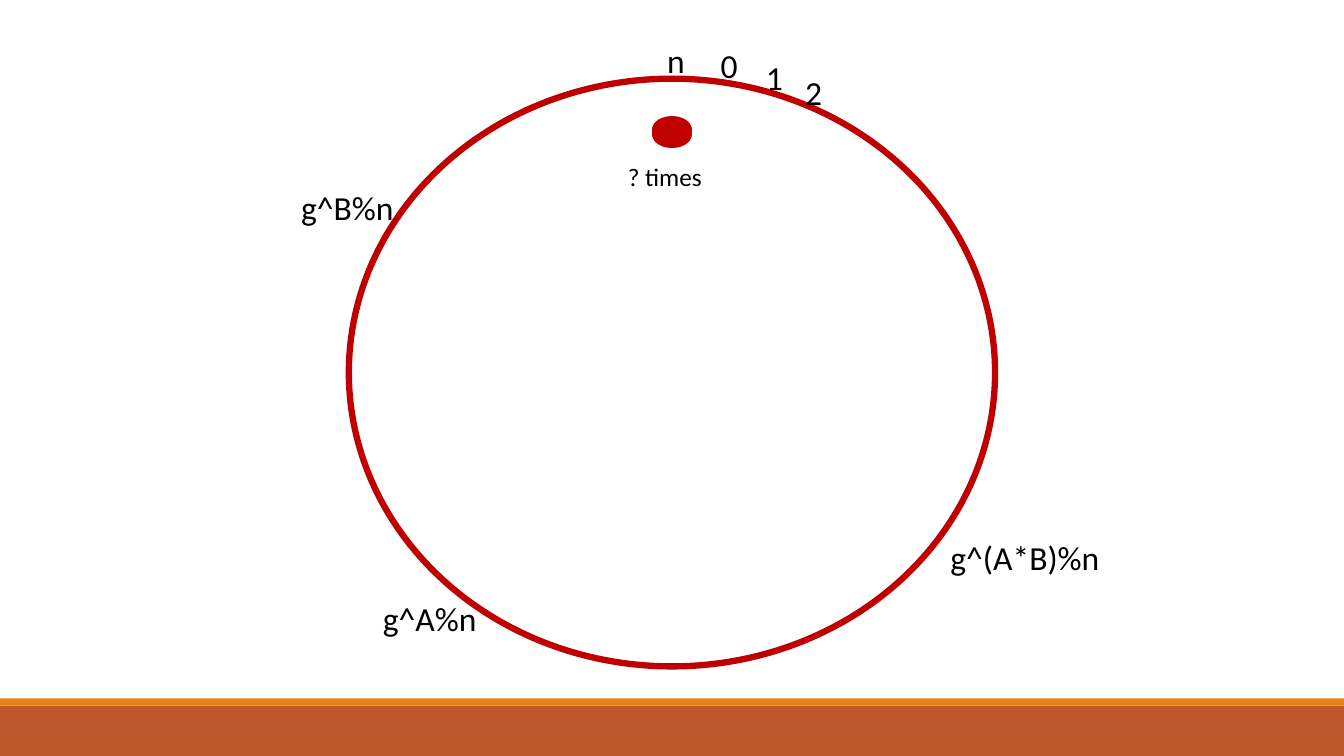
"""Build a slide of a modular number ring with key-exchange labels."""
from dataclasses import dataclass

from pptx import Presentation
from pptx.dml.color import RGBColor
from pptx.enum.shapes import MSO_SHAPE
from pptx.enum.text import MSO_AUTO_SIZE
from pptx.util import Pt

RECTANGLE = MSO_SHAPE.RECTANGLE
OVAL = MSO_SHAPE.OVAL
FIT_SHAPE = MSO_AUTO_SIZE.SHAPE_TO_FIT_TEXT


@dataclass(frozen=True)
class Theme:
    font: str = "Calibri"
    ink: str = "000000"
    ring: str = "C00000"
    footer: str = "BD582C"
    stripe: str = "E48312"
    label_size: float = 24
    note_size: float = 18


def write_text(frame, text, *, font, size, color, wrap=True):
    frame.word_wrap = wrap
    frame.auto_size = FIT_SHAPE
    span = frame.paragraphs[0].add_run()
    span.text = text
    span.font.name = font
    span.font.size = Pt(size)
    span.font.color.rgb = RGBColor.from_string(color)


class SlideBuilder:
    def __init__(self, theme, page):
        self.theme = theme
        self.page = page

    def shape(self, kind, left, top, width, height, fill=None, line=None, weight=1.25):
        shape = self.page.shapes.add_shape(kind, Pt(left), Pt(top), Pt(width), Pt(height))
        shape.shadow.inherit = False
        if fill:
            shape.fill.solid()
            shape.fill.fore_color.rgb = RGBColor.from_string(fill)
        else:
            shape.fill.background()
        if line:
            shape.line.color.rgb = RGBColor.from_string(line)
            shape.line.width = Pt(weight)
        else:
            shape.line.fill.background()

    def label(self, text, left, top, width, height=36.36, size=None, wrap=True):
        box = self.page.shapes.add_textbox(Pt(left), Pt(top), Pt(width), Pt(height))
        write_text(box.text_frame, text, font=self.theme.font,
                   size=size or self.theme.label_size, color=self.theme.ink, wrap=wrap)


def main():
    deck = Presentation()
    deck.slide_width, deck.slide_height = Pt(960), Pt(540)
    theme = Theme()
    builder = SlideBuilder(theme, deck.slides.add_slide(deck.slide_layouts[6]))

    builder.shape(RECTANGLE, 0, 504, 960, 36, fill=theme.footer)
    builder.shape(RECTANGLE, 0, 498.75, 960, 5.25, fill=theme.stripe)
    builder.shape(OVAL, 249.2, 56.2, 461.6, 419.8, line=theme.ring, weight=4.5)

    builder.label("n", 469.5, 25.2, 38)
    builder.label("0", 507.6, 28.8, 24)
    builder.label("1", 540, 37.4, 26.6, wrap=False)
    builder.label("2", 568, 47.5, 26.6)
    builder.label("g^(A*B)%n", 671.8, 380.2, 189.4)
    builder.label("g^A%n", 266.4, 423.4, 82)
    builder.label("g^B%n", 208, 129.6, 82)
    builder.label("? times", 441.4, 111.6, 132.5, height=29.1, size=theme.note_size)

    for top in (84.2, 83.5, 87.1):
        builder.shape(OVAL, 466.4, top, 27.2, 18, fill=theme.ring, line=theme.ring)

    deck.save("out.pptx")


if __name__ == "__main__":
    main()
